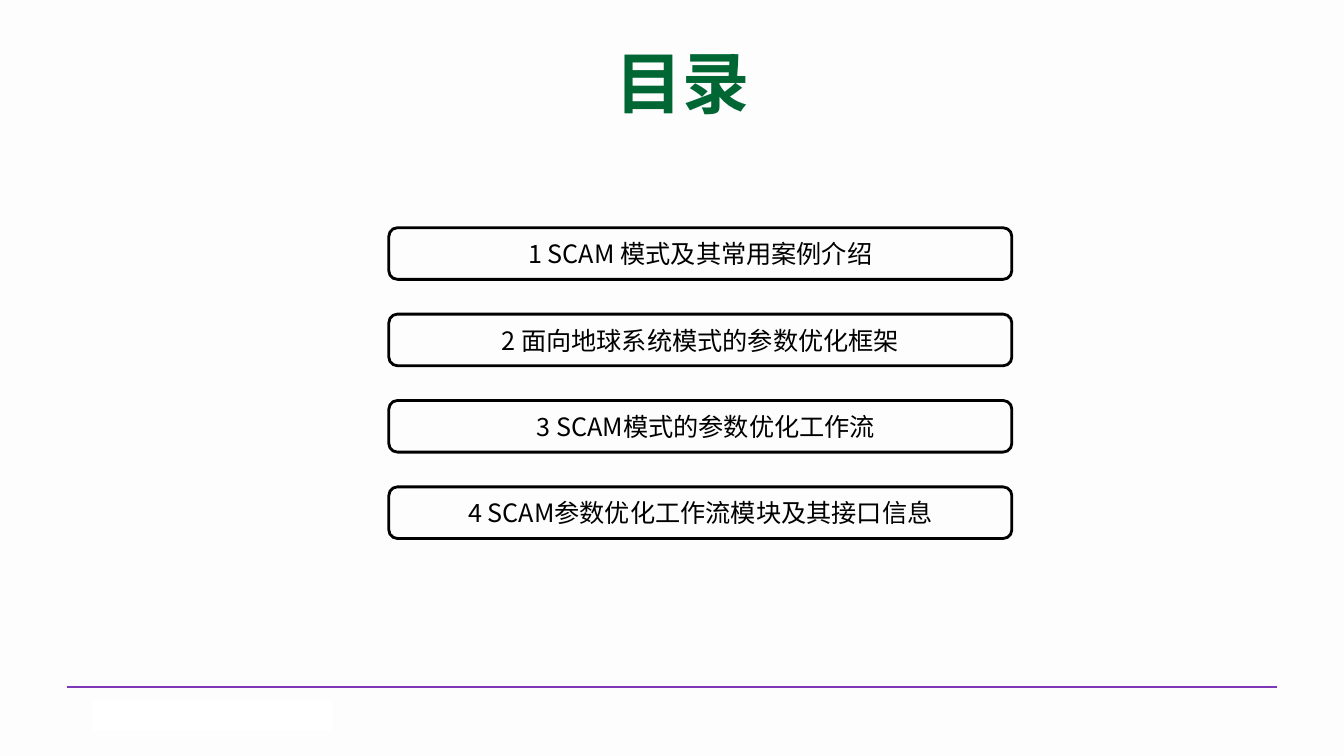
from lxml.etree import SubElement
from pptx import Presentation
from pptx.dml.color import RGBColor
from pptx.enum.shapes import MSO_CONNECTOR, MSO_SHAPE
from pptx.enum.text import MSO_ANCHOR, PP_ALIGN
from pptx.oxml.ns import qn
from pptx.util import Cm, Pt

COLORS = {
    "background": "FDFDFD",
    "title": "006633",
    "text": "000000",
    "border": "000000",
    "rule": "8037B7",
    "panel": "FFFFFF",
}
FONT = "Noto Sans CJK JP"
TITLE_FORMAT = {"name": FONT, "size": Pt(48), "bold": True}
ENTRY_FORMAT = {"name": FONT, "size": Pt(18), "bold": False}
ENTRIES = [
    ("1 SCAM 模式及其常用案例介绍", 0),
    ("2 面向地球系统模式的参数优化框架", 0),
    ("3 SCAM模式的参数优化工作流", 0.28),
    ("4 SCAM参数优化工作流模块及其接口信息", 0),
]


def color(name):
    """Return the named palette colour."""
    return RGBColor.from_string(COLORS[name])


def write_text(text_frame, text, font_format, color_name):
    """Write one centred, formatted paragraph and return it."""
    paragraph = text_frame.paragraphs[0]
    paragraph.alignment = PP_ALIGN.CENTER
    run = paragraph.add_run()
    run.text = text
    for attribute, value in font_format.items():
        setattr(run.font, attribute, value)
    run.font.color.rgb = color(color_name)
    SubElement(run.font._element, qn("a:ea"), typeface=font_format["name"])
    return paragraph


def add_footer(slide, left, top, width):
    """Draw the footer rule with the white panel below it."""
    rule = slide.shapes.add_connector(
        MSO_CONNECTOR.STRAIGHT, Cm(left), Cm(top), Cm(left + width), Cm(top))
    rule.line.color.rgb = color("rule")
    rule.line.width = Pt(1.5)
    SubElement(rule._element.spPr, qn("a:effectLst"))
    panel = slide.shapes.add_shape(
        MSO_SHAPE.RECTANGLE, Cm(left + 0.64), Cm(top + 0.33), Cm(6.05), Cm(0.76))
    panel.shadow.inherit = False
    panel.fill.solid()
    panel.fill.fore_color.rgb = color("panel")
    panel.line.fill.background()


def add_title(slide, left, top, width, height):
    """Place and format the title placeholder."""
    title = slide.shapes.title
    box = {"left": left, "top": top, "width": width, "height": height}
    for attribute, value in box.items():
        setattr(title, attribute, Cm(value))
    title.text_frame.vertical_anchor = MSO_ANCHOR.TOP
    paragraph = write_text(title.text_frame, "目录", TITLE_FORMAT, "title")
    paragraph.line_spacing = 0.9


def add_contents(slide, left, top, width, height, entry_height=1.3):
    """Spread the outlined entries evenly over the given box."""
    pitch = (height - entry_height) / (len(ENTRIES) - 1)
    for index, (text, indent) in enumerate(ENTRIES):
        entry = slide.shapes.add_shape(
            MSO_SHAPE.ROUNDED_RECTANGLE,
            Cm(left), Cm(top + index * pitch), Cm(width), Cm(entry_height))
        entry.shadow.inherit = False
        entry.fill.background()
        entry.line.color.rgb = color("border")
        entry.line.width = Pt(2)
        frame = entry.text_frame
        frame.word_wrap = True
        frame.vertical_anchor = MSO_ANCHOR.MIDDLE
        frame.margin_left = Cm(0.25 + indent)
        frame.margin_right = Cm(0.25)
        write_text(frame, text, ENTRY_FORMAT, "text")


def main():
    """Build and save the contents slide."""
    presentation = Presentation()
    presentation.slide_width = Cm(33.87)
    presentation.slide_height = Cm(19.05)
    slide = presentation.slides.add_slide(presentation.slide_layouts[5])
    slide.background.fill.solid()
    slide.background.fill.fore_color.rgb = color("background")
    add_footer(slide, 1.7, 17.32, 30.48)
    add_title(slide, 2.59, 1.14, 29.21, 3.68)
    add_contents(slide, 9.8, 5.74, 15.7, 7.83)
    presentation.save("out.pptx")


if __name__ == "__main__":
    main()
